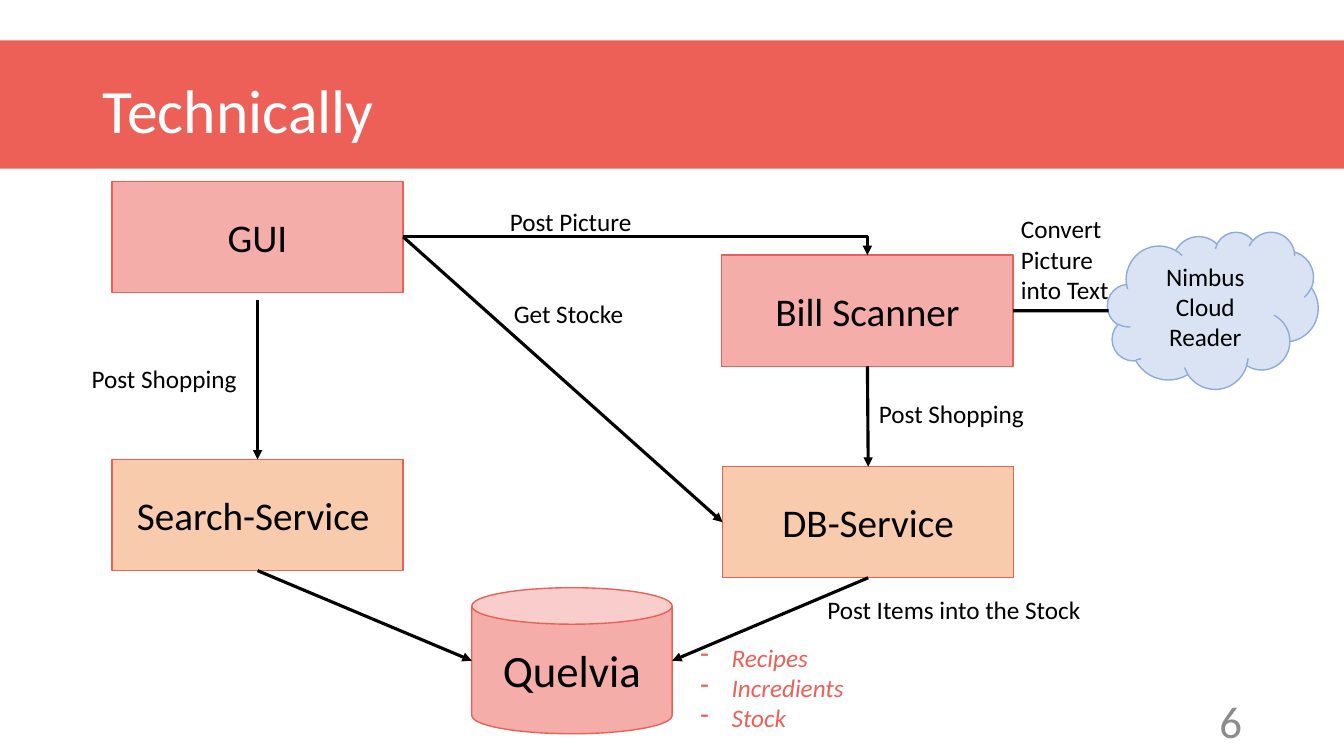
from pptx import Presentation
from pptx.dml.color import RGBColor
from pptx.enum.shapes import MSO_CONNECTOR, MSO_SHAPE
from pptx.enum.text import MSO_ANCHOR, PP_ALIGN
from pptx.oxml.ns import qn
from pptx.util import Cm, Pt
from lxml import etree

RECT, CAN, CLOUD = MSO_SHAPE.RECTANGLE, MSO_SHAPE.CAN, MSO_SHAPE.CLOUD
STRAIGHT, ELBOW = MSO_CONNECTOR.STRAIGHT, MSO_CONNECTOR.ELBOW
MIDDLE = MSO_ANCHOR.MIDDLE
LEFT, CENTER, RIGHT = PP_ALIGN.LEFT, PP_ALIGN.CENTER, PP_ALIGN.RIGHT
TOP_SIDE, LEFT_SIDE, BOTTOM_SIDE, RIGHT_SIDE = range(4)
CORAL, PINK, PEACH, BLACK = "EC6058", "F5ADA9", "F8CBAD", "000000"


def color(value):
    return RGBColor.from_string(value)


def write(frame, lines, size, ink=BLACK, align=LEFT):
    for i, line in enumerate(lines):
        paragraph = frame.paragraphs[0] if i == 0 else frame.add_paragraph()
        paragraph.text = line
        paragraph.alignment = align
        paragraph.font.name = "Calibri"
        paragraph.font.size = Pt(size)
        paragraph.font.color.rgb = color(ink)


prs = Presentation()
prs.slide_width, prs.slide_height = Cm(33.87), Cm(19.05)
slide = prs.slides.add_slide(prs.slide_layouts[6])
shapes = slide.shapes

band = shapes.add_shape(RECT, Cm(-0.86), Cm(1.02), Cm(36.32), Cm(3.23))
band.shadow.inherit = False
band.fill.solid()
band.fill.fore_color.rgb = color(CORAL)
band.line.fill.background()

title = shapes.add_textbox(Cm(2.34), Cm(1.02), Cm(29.21), Cm(3.68)).text_frame
title.word_wrap = True
title.vertical_anchor = MIDDLE
write(title, ["Technically"], 44, "FFFFFF")
title.paragraphs[0].line_spacing = 0.9

nodes = []
for kind, text, size, left, top, width, height, fill, outline in [
    (RECT, "GUI", 28, 2.82, 4.57, 7.34, 2.8, PINK, CORAL),
    (RECT, "Bill Scanner", 28, 18.19, 6.43, 7.34, 2.8, PINK, CORAL),
    (RECT, "Search-Service ", 28, 2.82, 11.58, 7.34, 2.8, PEACH, CORAL),
    (RECT, "DB-Service", 28, 18.21, 11.76, 7.34, 2.8, PEACH, CORAL),
    (CAN, "Quelvia", 32, 11.89, 14.81, 5.05, 3.68, PINK, CORAL),
    (CLOUD, "Nimbus Cloud Reader", 18, 27.91, 5.84, 5.31, 3.96, "DAE3F3", "8FAADC"),
]:
    node = shapes.add_shape(kind, Cm(left), Cm(top), Cm(width), Cm(height))
    node.shadow.inherit = False
    node.fill.solid()
    node.fill.fore_color.rgb = color(fill)
    node.line.color.rgb = color(outline)
    node.line.width = Pt(1)
    node.text_frame.word_wrap = True
    node.text_frame.vertical_anchor = MIDDLE
    write(node.text_frame, [text], size, align=CENTER)
    nodes.append(node)
gui, scanner, search, database, store, cloud = nodes

for kind, x1, y1, x2, y2, start, end, arrow in [
    (ELBOW, 10.16, 5.97, 21.86, 6.43, (gui, RIGHT_SIDE), (scanner, TOP_SIDE), True),
    (STRAIGHT, 21.86, 9.23, 21.88, 11.76, (scanner, BOTTOM_SIDE), (database, TOP_SIDE), True),
    (STRAIGHT, 10.16, 5.97, 18.21, 13.16, (gui, RIGHT_SIDE), (database, LEFT_SIDE), True),
    (STRAIGHT, 6.49, 7.57, 6.49, 11.58, None, (search, TOP_SIDE), True),
    (STRAIGHT, 6.49, 14.38, 11.89, 16.65, (search, BOTTOM_SIDE), None, True),
    (STRAIGHT, 21.88, 14.56, 16.94, 16.65, (database, BOTTOM_SIDE), None, True),
    (STRAIGHT, 25.53, 7.83, 27.94, 7.83, (scanner, RIGHT_SIDE), None, False),
]:
    flow = shapes.add_connector(kind, Cm(x1), Cm(y1), Cm(x2), Cm(y2))
    if start:
        flow.begin_connect(*start)
    if end:
        flow.end_connect(*end)
    flow.line.color.rgb = color(BLACK)
    flow.line.width = Pt(2.25)
    properties = flow._element.spPr
    if kind == ELBOW:
        properties.find(qn("a:prstGeom")).set("prst", "bentConnector2")
    if arrow:
        etree.SubElement(properties.find(qn("a:ln")), qn("a:tailEnd"), type="triangle")
    etree.SubElement(properties, qn("a:effectLst"))

for text, left, top, width, height, wrap in [
    ("Post Picture", 12.6, 5.08, 3.6, 1.03, False),
    ("Post Shopping", 21.9, 9.91, 4.22, 1.03, False),
    ("Get Stocke", 12.7, 7.39, 3.3, 1.03, False),
    ("Post Shopping", 2.06, 9.02, 4.22, 1.03, False),
    ("Post Items into the Stock", 20.6, 14.86, 6.93, 1.03, False),
    ("Convert Picture into Text", 25.48, 5.26, 2.79, 2.57, True),
]:
    label = shapes.add_textbox(Cm(left), Cm(top), Cm(width), Cm(height)).text_frame
    label.word_wrap = wrap
    write(label, [text], 18)

contents = shapes.add_textbox(Cm(17.4), Cm(16.05), Cm(4.22), Cm(2.57)).text_frame
contents.word_wrap = False
write(contents, ["Recipes", "Incredients", "Stock"], 18, CORAL)
for item in contents.paragraphs:
    item.font.italic = True
    item_properties = item._p.get_or_add_pPr()
    item_properties.set("marL", str(Cm(0.79)))
    item_properties.set("indent", str(Cm(-0.79)))
    bullet = etree.Element(qn("a:buChar"), char="-")
    item_properties.insert(0, bullet)

page_number = shapes.add_textbox(Cm(23.93), Cm(17.65), Cm(7.62), Cm(1.02)).text_frame
page_number.word_wrap = True
page_number.vertical_anchor = MIDDLE
write(page_number, ["6"], 32, "8C8C8C", RIGHT)

prs.save("out.pptx")
